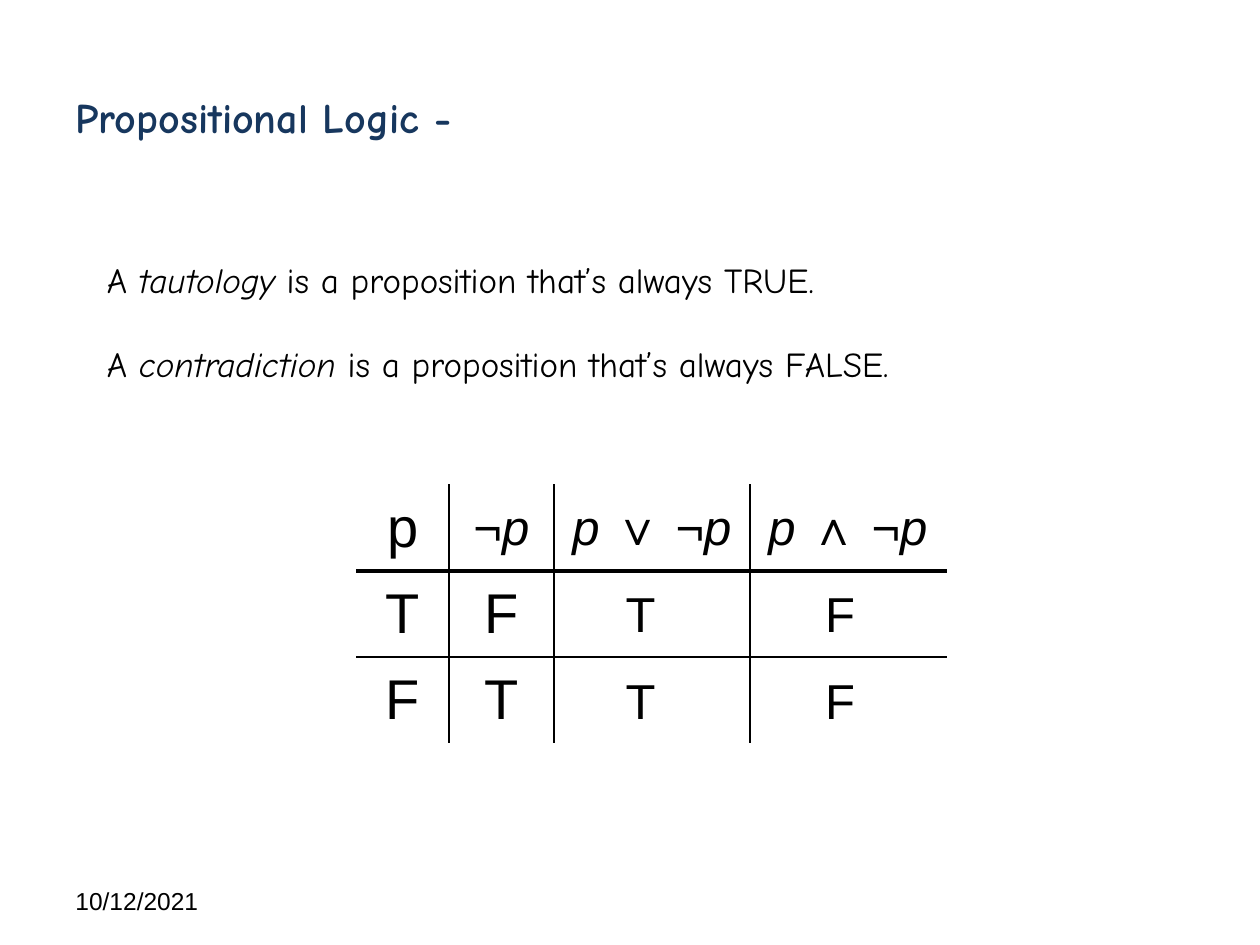
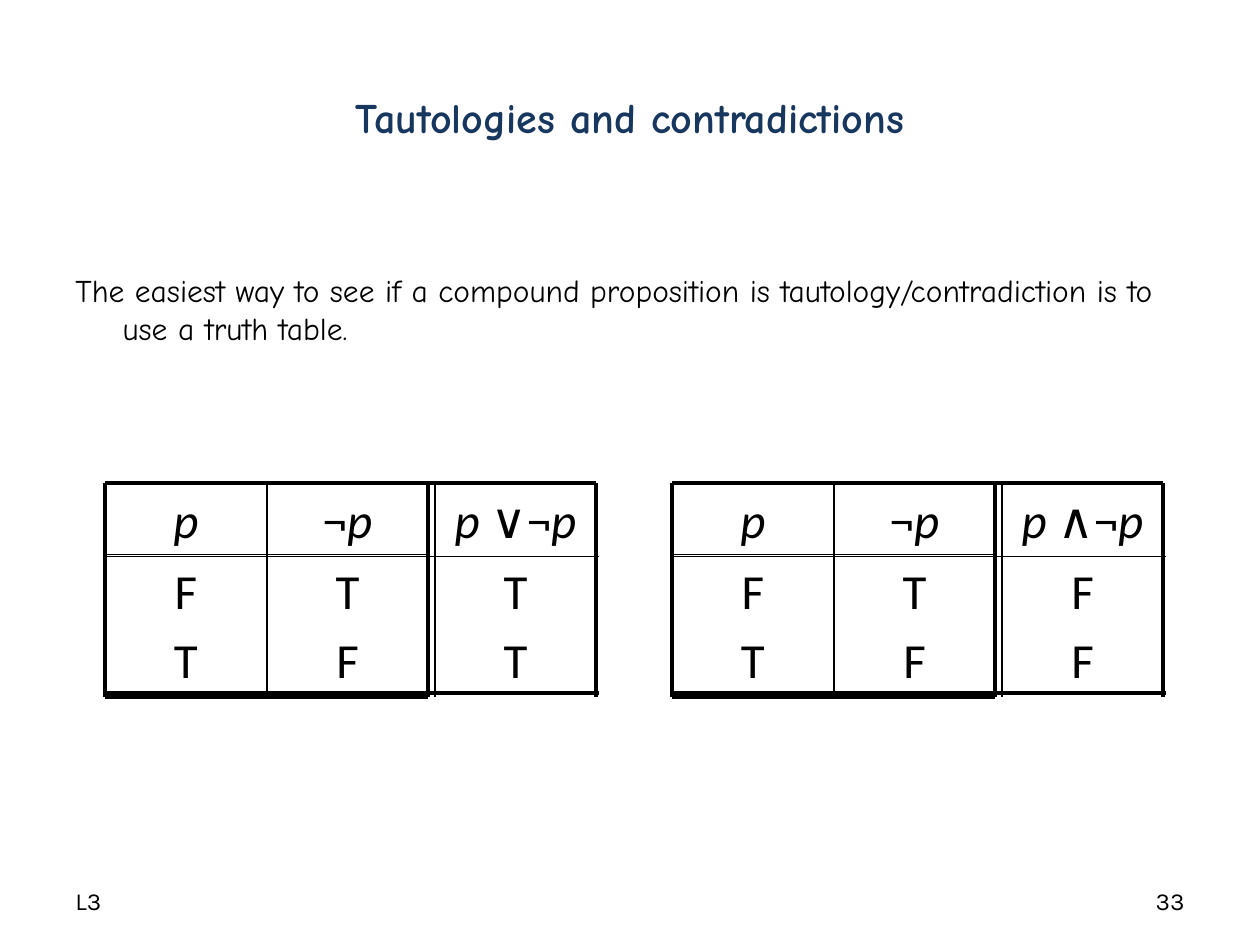
from dataclasses import dataclass

from lxml import etree
from pptx import Presentation
from pptx.dml.color import RGBColor
from pptx.enum.shapes import MSO_CONNECTOR
from pptx.enum.text import MSO_ANCHOR, PP_ALIGN
from pptx.oxml.ns import qn
from pptx.util import Pt

LEFT, CENTER, RIGHT = PP_ALIGN.LEFT, PP_ALIGN.CENTER, PP_ALIGN.RIGHT
TOP, MIDDLE = MSO_ANCHOR.TOP, MSO_ANCHOR.MIDDLE
STRAIGHT = MSO_CONNECTOR.STRAIGHT
BLANK_LAYOUT = 6


@dataclass(frozen=True)
class Theme:
    ink: str = "000000"
    title_color: str = "17375E"
    heading_font: str = "Comic Neue"
    table_font: str = "Arial"
    grid_font: str = "Calibri"
    footer_font: str = "Karla"
    title_size: float = 24
    definition_size: float = 20
    body_size: float = 18
    footer_size: float = 14
    symbol_size: float = 28
    large_symbol_size: float = 32
    thin: float = 1
    medium: float = 2.25
    thick: float = 3
    hanging: float = 27


THEME = Theme()


def write_runs(paragraph, marked_text, font_name, size, color=THEME.ink, bold=False):
    """Write text in which *stars* enclose the italic parts."""
    for index, part in enumerate(marked_text.split("*")):
        if not part:
            continue
        run = paragraph.add_run()
        run.text = part
        run.font.name = font_name
        run.font.size = Pt(size)
        run.font.bold = bold
        run.font.italic = index % 2 == 1
        run.font.color.rgb = RGBColor.from_string(color)


def add_text(shapes, box, lines, font_name, size, color=THEME.ink, bold=False,
             align=LEFT, anchor=TOP, gap=0, hanging=0):
    """Add a text box; box is left, top, width, height and gap separates lines."""
    text_frame = shapes.add_textbox(*map(Pt, box)).text_frame
    text_frame.word_wrap = True
    text_frame.vertical_anchor = anchor
    for index, line in enumerate(lines):
        paragraph = text_frame.add_paragraph() if index else text_frame.paragraphs[0]
        paragraph.alignment = align
        if index:
            paragraph.space_before = Pt(gap)
        if hanging:
            properties = paragraph._p.get_or_add_pPr()
            properties.set("marL", str(Pt(hanging)))
            properties.set("indent", str(Pt(-hanging)))
        write_runs(paragraph, line, font_name, size, color, bold)


def add_title(slide, text, align=LEFT):
    add_text(slide.shapes, (36, 21.6, 648, 90), [text], THEME.heading_font,
             THEME.title_size, THEME.title_color, True, align, MIDDLE)


def add_footer(slide, text, font_name, left=36, align=LEFT):
    add_text(slide.shapes, (left, 500.4, 168, 28.8), [text], font_name,
             THEME.footer_size, align=align, anchor=MIDDLE)


def add_body(slide, text, box, size):
    add_text(slide.shapes, box, [text], THEME.heading_font, size,
             hanging=THEME.hanging)


def add_line(shapes, start, end, width):
    line = shapes.add_connector(STRAIGHT, *map(Pt, (*start, *end)))
    line.line.color.rgb = RGBColor.from_string(THEME.ink)
    line.line.width = Pt(width)
    etree.SubElement(line._element.spPr, qn("a:effectLst"))


def set_borders(cell, widths):
    """Draw cell borders; widths maps L, R, T and B, in that order, to points."""
    properties = cell._tc.get_or_add_tcPr()
    for index, (side, width) in enumerate(widths.items()):
        border = etree.Element(qn(f"a:ln{side}"), w=str(Pt(width)))
        fill = etree.SubElement(border, qn("a:solidFill"))
        etree.SubElement(fill, qn("a:srgbClr"), val=THEME.ink)
        properties.insert(index, border)


def add_truth_table(slide, left, top, column_widths, row_height, rows):
    """Add a table whose rows hold (marked text, size) pairs, ruled inside only."""
    last_row, last_column = len(rows) - 1, len(column_widths) - 1
    table = slide.shapes.add_table(
        len(rows), len(column_widths), Pt(left), Pt(top),
        Pt(sum(column_widths)), Pt(row_height * len(rows))).table
    table.first_row = table.horz_banding = False
    for column, width in zip(table.columns, column_widths):
        column.width = Pt(width)
    for row_index, row in enumerate(rows):
        table.rows[row_index].height = Pt(row_height)
        for column_index in range(len(column_widths)):
            cell = table.cell(row_index, column_index)
            cell.fill.background()
            cell.vertical_anchor = MIDDLE
            borders = {}
            if column_index > 0:
                borders["L"] = THEME.thin
            if column_index < last_column:
                borders["R"] = THEME.thin
            if row_index > 0:
                borders["T"] = THEME.thick if row_index == 1 else THEME.thin
            if row_index < last_row:
                borders["B"] = THEME.thick if row_index == 0 else THEME.thin
            set_borders(cell, borders)
            if column_index < len(row):
                text, size = row[column_index]
                paragraph = cell.text_frame.paragraphs[0]
                paragraph.alignment = CENTER
                write_runs(paragraph, text, THEME.table_font, size)


def add_truth_grid(slide, left, columns):
    """Add a line-drawn truth table; columns are (heading, values) pairs."""
    shapes = slide.shapes.add_group_shape().shapes
    top, header_bottom, bottom = 276, 316.8, 398.4
    width, double_rule, overhang = 92.4, 3.6, 1.2
    middle, inputs_right = left + width, left + 2 * width
    result_left = inputs_right + double_rule
    right = result_left + width

    for column_left, (heading, values) in zip((left, middle, result_left), columns):
        for lines, box_top, box_bottom in (([heading], top, header_bottom),
                                           (values, header_bottom, bottom)):
            add_text(shapes, (column_left, box_top, width, box_bottom - box_top),
                     lines, THEME.grid_font, THEME.symbol_size,
                     align=CENTER, gap=5.5)

    for x, weight in ((left, THEME.medium), (middle, THEME.thin),
                      (inputs_right, THEME.medium), (result_left, THEME.thin),
                      (right, THEME.medium)):
        add_line(shapes, (x, top), (x, bottom), weight)
    for start, end, y, weight in (
            (left, inputs_right, top, THEME.medium),
            (left, inputs_right, header_bottom, THEME.thin),
            (left, inputs_right, bottom, THEME.medium),
            (middle + double_rule, right, top, THEME.medium),
            (left, right + overhang, bottom - 2.4, THEME.medium),
            (left, right + overhang, header_bottom + 1.2, THEME.thin)):
        add_line(shapes, (start, y), (end, y), weight)


def build_definitions(slide):
    add_footer(slide, "10/12/2021", THEME.table_font)
    add_title(slide, "Propositional Logic -")
    definitions = ("A *tautology* is a proposition that’s always TRUE.",
                   "A *contradiction* is a proposition that’s always FALSE.")
    for index, definition in enumerate(definitions):
        add_body(slide, definition, (54, 144 + 48 * index, 612, 60),
                 THEME.definition_size)
    large, regular = THEME.large_symbol_size, THEME.symbol_size
    add_truth_table(slide, 204, 277.2, (52.5, 60, 112, 112), 49.2, [
        [("p", large), ("¬*p*", regular),
         ("*p* ∨ ¬*p*", regular), ("*p* ∧ ¬*p*", regular)],
        [("T", large), ("F", large)],
        [("F", large), ("T", large)],
    ])
    for left, value in ((336, "T"), (450, "F")):
        add_text(slide.shapes, (left, 330, 60, 91.4), [value, value],
                 THEME.table_font, regular, align=CENTER, gap=16)


def build_truth_tables(slide):
    add_footer(slide, "L3", THEME.footer_font)
    add_footer(slide, "33", THEME.footer_font, left=516, align=RIGHT)
    add_title(slide, "Tautologies and contradictions", CENTER)
    add_body(slide, "The easiest way to see if a compound proposition is "
             "tautology/contradiction is to use a truth table.",
             (36, 151.2, 648, 331.2), THEME.body_size)
    inputs = [("*p*", "FT"), ("¬*p*", "TF")]
    results = [("*p *∨¬*p*", "TT"), ("*p *∧¬*p*", "FF")]
    for index, result in enumerate(results):
        add_truth_grid(slide, 60 + 324 * index, [*inputs, result])


def main():
    presentation = Presentation()
    presentation.slide_width, presentation.slide_height = Pt(720), Pt(540)
    layout = presentation.slide_layouts[BLANK_LAYOUT]
    for build in (build_definitions, build_truth_tables):
        build(presentation.slides.add_slide(layout))
    presentation.save("out.pptx")


if __name__ == "__main__":
    main()
